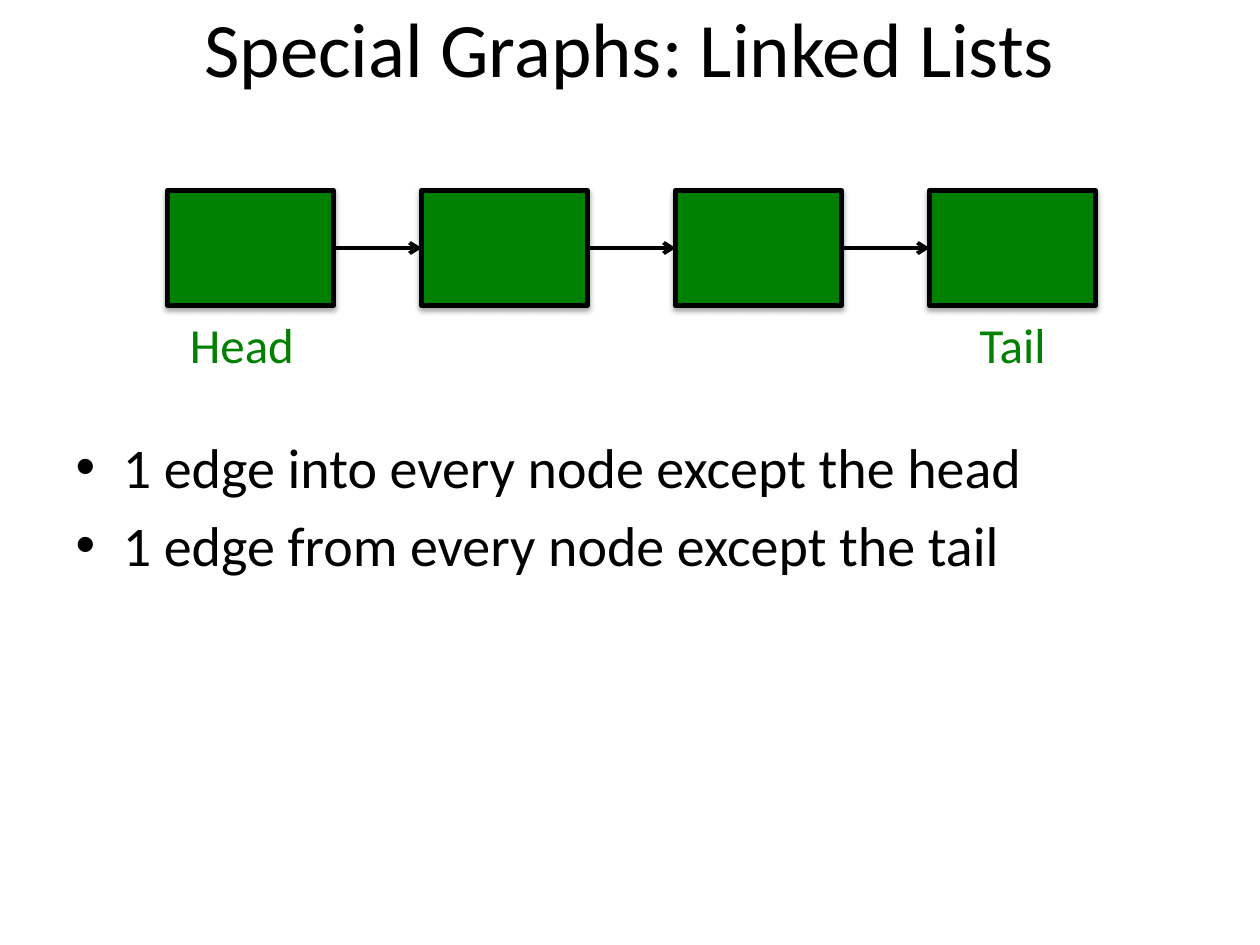
from dataclasses import dataclass
from itertools import pairwise

from lxml.etree import SubElement as Sub
from pptx import Presentation
from pptx.dml.color import RGBColor as Rgb
from pptx.enum.shapes import MSO_CONNECTOR as Link, MSO_SHAPE as Shape
from pptx.enum.text import MSO_ANCHOR as Anchor, MSO_AUTO_SIZE as Fit, PP_ALIGN as Align
from pptx.oxml.ns import qn
from pptx.util import Cm, Pt

HEAD = "Special Graphs: Linked Lists"
RULES = ["1 edge into every node except the head",
         "1 edge from every node except the tail"]
ENDS = ["Head", "Tail"]
COUNT = 4


@dataclass(frozen=True)
class Theme:
    font: str = "Calibri"
    ink: Rgb = Rgb(0, 0, 0)
    green: Rgb = Rgb(0, 128, 0)
    title: int = 44
    body: int = 32
    label: int = 28
    edge: float = 3
    link: float = 2.25


THEME = Theme()
LEFT, TOP, WIDE, HIGH, STEP = 3.38, 3.84, 3.34, 2.32, 5.12


def place(item, left, top, wide, high):
    item.left, item.top, item.width, item.height = map(Cm, (left, top, wide, high))


def write(para, text, size, color):
    run = para.add_run()
    run.text = text
    run.font.name, run.font.size = THEME.font, Pt(size)
    run.font.color.rgb = color


def shade(node):
    list_ = Sub(node._element.spPr, qn("a:effectLst"))
    cast = Sub(list_, qn("a:outerShdw"), blurRad=str(Pt(3.1)), dist=str(Pt(1.8)),
               dir="5400000", rotWithShape="0")
    tone = Sub(cast, qn("a:srgbClr"), val=str(THEME.ink))
    Sub(tone, qn("a:alpha"), val="35000")


def add_node(group, index):
    node = group.shapes.add_shape(Shape.RECTANGLE, Cm(LEFT + index * STEP), Cm(TOP),
                                  Cm(WIDE), Cm(HIGH))
    node.fill.solid()
    node.fill.fore_color.rgb = THEME.green
    node.line.color.rgb, node.line.width = THEME.ink, Pt(THEME.edge)
    shade(node)
    return node


def add_link(group, start, end):
    mid = start.top + start.height // 2
    link = group.shapes.add_connector(Link.STRAIGHT, start.left + start.width, mid,
                                      end.left, mid)
    link.begin_connect(start, 3)
    link.end_connect(end, 1)
    link.line.color.rgb, link.line.width = THEME.ink, Pt(THEME.link)
    Sub(link.line._get_or_add_ln(), qn("a:tailEnd"), type="arrow")
    Sub(link._element.spPr, qn("a:effectLst"))


def main():
    deck = Presentation()
    deck.slide_width, deck.slide_height = Cm(25.4), Cm(19.05)
    slide = deck.slides.add_slide(deck.slide_layouts[1])

    title, body = slide.shapes.title, slide.placeholders[1]
    place(title, 1.27, -0.64, 22.86, 3.18)
    title.text_frame.vertical_anchor = Anchor.MIDDLE
    para = title.text_frame.paragraphs[0]
    para.alignment = Align.CENTER
    write(para, HEAD, THEME.title, THEME.ink)

    place(body, 1.27, 8.59, 22.86, 12.57)
    frame = body.text_frame
    for index, rule in enumerate(RULES):
        para = frame.add_paragraph() if index else frame.paragraphs[0]
        para.space_before = Pt(THEME.body * 0.2 if index else 0)
        write(para, rule, THEME.body, THEME.ink)

    group = slide.shapes.add_group_shape()
    nodes = [add_node(group, index) for index in range(COUNT)]
    for start, end in pairwise(nodes):
        add_link(group, start, end)

    label = slide.shapes.add_textbox(Cm(3.58), Cm(6.22), Cm(18.03), Cm(1.45))
    label.text_frame.word_wrap = False
    label.text_frame.auto_size = Fit.SHAPE_TO_FIT_TEXT
    para = label.text_frame.paragraphs[0]
    tabs = Sub(para._p.get_or_add_pPr(), qn("a:tabLst"))
    Sub(tabs, qn("a:tab"), pos=str(Cm(15.92)), algn="l")
    write(para, "\t".join(ENDS), THEME.label, THEME.green)

    deck.save("out.pptx")


if __name__ == "__main__":
    main()
